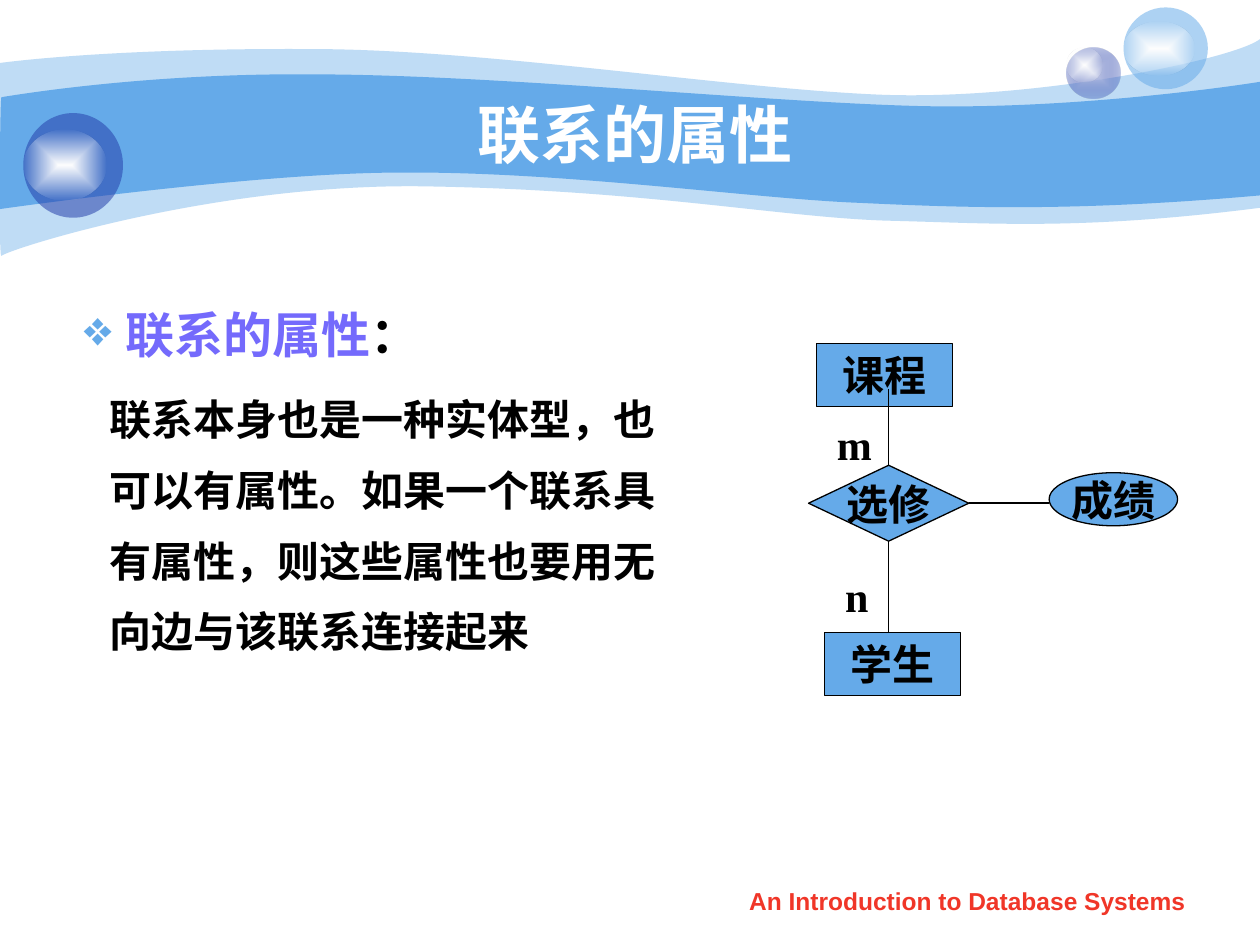
"""Build the slide on attributes of relationships in an entity-relationship model."""
from dataclasses import dataclass

from lxml import etree
from pptx import Presentation
from pptx import util as u
from pptx.dml.color import RGBColor
from pptx.enum import lang, shapes, text
from pptx.oxml import parse_xml
from pptx.oxml.ns import nsdecls, qn

Box = tuple[float, float, float, float]
Point = tuple[float, float]


@dataclass(frozen=True)
class Theme:
    sky: str = "65AAE9"
    navy: str = "233DA9"
    pale: str = "C7CEE9"
    violet: str = "746AFC"
    red: str = "F03628"
    black: str = "000000"
    white: str = "FFFFFF"
    sans: str = "Arial"
    serif: str = "Times New Roman"
    title: int = 36
    heading: int = 28
    body: int = 24
    footer: int = 14
    line: float = 0.75


THEME = Theme()


@dataclass(frozen=True)
class Wave:
    start: Point
    upper: tuple
    right: Point
    lower: tuple
    opacity: int


@dataclass(frozen=True)
class Ball:
    box: Box
    shine: Box
    color: str
    opacity: int
    center: str = ""


@dataclass(frozen=True)
class Node:
    kind: shapes.MSO_SHAPE
    box: Box
    label: str


WAVES = (
    Wave((0, 1.27),
         ((0.61, 1.19, 2.72, 0.97, 6.27, 0.99), (9.8, 0.99, 14.61, 1.78, 17.75, 1.91),
          (20.88, 2.03, 24.89, 1.19, 25.4, 0.79)),
         (25.4, 4.19),
         ((21.79, 4.65, 19.99, 4.5, 17.91, 4.45), (15.8, 4.39, 13.08, 3.84, 8.71, 3.76),
          (4.37, 3.66, 0.1, 5.05, 0.03, 5.16), (-0.03, 5.28, 0, 1.91, 0, 1.27)), 41),
    Wave((0.03, 1.96),
         ((0.05, 1.96, 2.79, 1.47, 6.3, 1.5), (9.8, 1.5, 15.11, 2.03, 18.24, 2.13),
          (21.36, 2.24, 24.79, 1.75, 25.4, 1.65)),
         (25.4, 3.94),
         ((21.67, 4.27, 19.43, 4.19, 17.32, 4.09), (15.21, 4.01, 11.35, 3.45, 8.05, 3.48),
          (5.16, 3.48, -0.05, 4.22, -0.03, 4.22), (0, 4.22, 0, 1.96, 0.03, 1.96)), 100),
)
BALLS = (
    Ball((21.51, 0.97, 1.07, 1.02), (21.51, 0.97, 0.71, 0.69), THEME.navy, 31, THEME.pale),
    Ball((22.65, 0.15, 1.7, 1.65), (22.65, 0.43, 1.42, 1.09), THEME.sky, 53),
    Ball((0.47, 2.28, 2.01, 2.11), (0.47, 2.62, 1.68, 1.42), THEME.navy, 53),
)
NODES = (
    Node(shapes.MSO_SHAPE.RECTANGLE, (16.46, 6.93, 2.74, 1.27), "课程"),
    Node(shapes.MSO_SHAPE.DIAMOND, (16.3, 9.38, 3.23, 1.53), "选修"),
    Node(shapes.MSO_SHAPE.RECTANGLE, (16.62, 12.75, 2.74, 1.27), "学生"),
    Node(shapes.MSO_SHAPE.OVAL, (21.15, 9.53, 2.59, 1.07), "成绩"),
)
EDGES = ((17.91, 9.38, 17.91, 7.85), (17.91, 10.91, 17.91, 12.75), (19.53, 10.14, 21.15, 10.14))
CARDINALITIES = (("m", (16.62, 8.31, 0.81, 1.27)), ("n", (16.79, 11.38, 0.81, 1.27)))


def lengths(values: tuple) -> list[u.Cm]:
    return [u.Cm(value) for value in values]


def write(paragraph, content: str, *, size: int = THEME.body, color: str = THEME.black,
          font: str = THEME.serif, align=text.PP_ALIGN.LEFT) -> None:
    paragraph.alignment = align
    run = paragraph.add_run()
    run.text = content
    run.font.name, run.font.size, run.font.bold = font, u.Pt(size), True
    run.font.color.rgb = RGBColor.from_string(color)
    if not content.isascii():
        run.font.language_id = lang.MSO_LANGUAGE_ID.SIMPLIFIED_CHINESE


def paint(shape, color: str, opacity: int = 100) -> None:
    shape.shadow.inherit = False
    shape.line.fill.background()
    shape.fill.solid()
    shape.fill.fore_color.rgb = RGBColor.from_string(color)
    if opacity < 100:
        tint = shape.fill._xPr.find(".//" + qn("a:srgbClr"))
        etree.SubElement(tint, qn("a:alpha")).set("val", str(opacity * 1000))


def paint_glow(shape, center: str, edge: str, opacity: int) -> None:
    paint(shape, edge)
    solid = shape.fill._xPr.find(qn("a:solidFill"))
    solid.getparent().replace(solid, parse_xml(
        f'<a:gradFill {nsdecls("a")} rotWithShape="1"><a:gsLst>'
        f'<a:gs pos="0"><a:srgbClr val="{center}"/></a:gs>'
        f'<a:gs pos="100000"><a:srgbClr val="{edge}"><a:alpha val="{opacity * 1000}"/></a:srgbClr></a:gs>'
        '</a:gsLst><a:path path="rect"><a:fillToRect l="50000" t="50000" r="50000" b="50000"/>'
        '</a:path></a:gradFill>'))


def curve_points(curves: tuple) -> list[Point]:
    return [curve[index:index + 2] for curve in curves for index in (0, 2, 4)]


def bend(segments: list) -> None:
    for first, second, third in zip(*[iter(segments)] * 3):
        first.tag = qn("a:cubicBezTo")
        for segment in (second, third):
            first.append(segment[0])
            segment.getparent().remove(segment)


def draw_wave(slide, wave: Wave) -> None:
    upper, lower = curve_points(wave.upper), curve_points(wave.lower)
    builder = slide.shapes.build_freeform(*lengths(wave.start))
    builder.add_line_segments([lengths(point) for point in (*upper, wave.right, *lower)], close=True)
    shape = builder.convert_to_shape()
    segments = list(shape._element.iter(qn("a:lnTo")))
    bend(segments[:len(upper)])
    bend(segments[len(upper) + 1:])
    paint(shape, THEME.sky, wave.opacity)


def draw_ball(slide, ball: Ball) -> None:
    body, shine = (slide.shapes.add_shape(shapes.MSO_SHAPE.OVAL, *lengths(box))
                   for box in (ball.box, ball.shine))
    if ball.center:
        paint_glow(body, ball.center, ball.color, ball.opacity)
    else:
        paint(body, ball.color, ball.opacity)
    paint_glow(shine, THEME.white, THEME.white, 0)


def draw_node(slide, node: Node) -> None:
    shape = slide.shapes.add_shape(node.kind, *lengths(node.box))
    paint(shape, THEME.sky)
    outline(shape)
    is_entity = node.kind == shapes.MSO_SHAPE.RECTANGLE
    frame = shape.text_frame
    frame.word_wrap = is_entity
    frame.vertical_anchor = text.MSO_ANCHOR.TOP if is_entity else text.MSO_ANCHOR.MIDDLE
    write(frame.paragraphs[0], node.label, align=text.PP_ALIGN.CENTER)


def outline(shape) -> None:
    shape.line.color.rgb = RGBColor.from_string(THEME.black)
    shape.line.width = u.Pt(THEME.line)


def draw_edge(slide, edge: Box) -> None:
    connector = slide.shapes.add_connector(shapes.MSO_CONNECTOR.STRAIGHT, *lengths(edge))
    outline(connector)
    etree.SubElement(connector._element.spPr, qn("a:effectLst"))


def add_text_frame(slide, box: Box):
    frame = slide.shapes.add_textbox(*lengths(box)).text_frame
    frame.word_wrap = True
    return frame


def draw_title(slide) -> None:
    title = slide.shapes.title
    title.left, title.top, title.width, title.height = lengths((2.54, 1.91, 20.52, 1.57))
    title.text_frame.auto_size = text.MSO_AUTO_SIZE.NONE
    title.text_frame.vertical_anchor = text.MSO_ANCHOR.MIDDLE
    write(title.text_frame.paragraphs[0], "联系的属性", size=THEME.title, color=THEME.white,
          font=THEME.sans, align=text.PP_ALIGN.CENTER)
    slide.shapes._spTree.append(title._element)


def draw_body(slide) -> None:
    frame = add_text_frame(slide, (0.69, 5.54, 13.41, 8.84))
    heading, detail = frame.paragraphs[0], frame.add_paragraph()
    for paragraph, margin, indent in ((heading, 1.59, -0.84), (detail, 1.27, 0)):
        paragraph.line_spacing = 1.4
        properties = paragraph._p.get_or_add_pPr()
        properties.set("marL", str(u.Cm(margin)))
        properties.set("indent", str(u.Cm(indent)))
    bullet = heading._p.get_or_add_pPr()
    color = etree.SubElement(bullet, qn("a:buClr"))
    etree.SubElement(color, qn("a:srgbClr")).set("val", THEME.sky)
    etree.SubElement(bullet, qn("a:buChar")).set("char", "❖")
    detail.space_before = u.Pt(6)
    write(heading, "联系的属性", size=THEME.heading, color=THEME.violet)
    write(heading, "：", size=THEME.heading)
    write(detail, "联系本身也是一种实体型，也可以有属性。如果一个联系具有属性，则这些属性也要用无向边与该联系连接起来")


def main() -> None:
    presentation = Presentation()
    presentation.slide_width, presentation.slide_height = lengths((25.4, 19.05))
    slide = presentation.slides.add_slide(presentation.slide_layouts[5])
    for draw, items in ((draw_wave, WAVES), (draw_ball, BALLS), (draw_node, NODES), (draw_edge, EDGES)):
        for item in items:
            draw(slide, item)
    for label, box in CARDINALITIES:
        write(add_text_frame(slide, box).paragraphs[0], label)
    draw_title(slide)
    draw_body(slide)
    footer = add_text_frame(slide, (14.5, 17.73, 10.01, 0.89))
    write(footer.paragraphs[0], "An Introduction to Database Systems", size=THEME.footer,
          color=THEME.red, font=THEME.sans, align=text.PP_ALIGN.CENTER)
    presentation.save("out.pptx")


if __name__ == "__main__":
    main()
